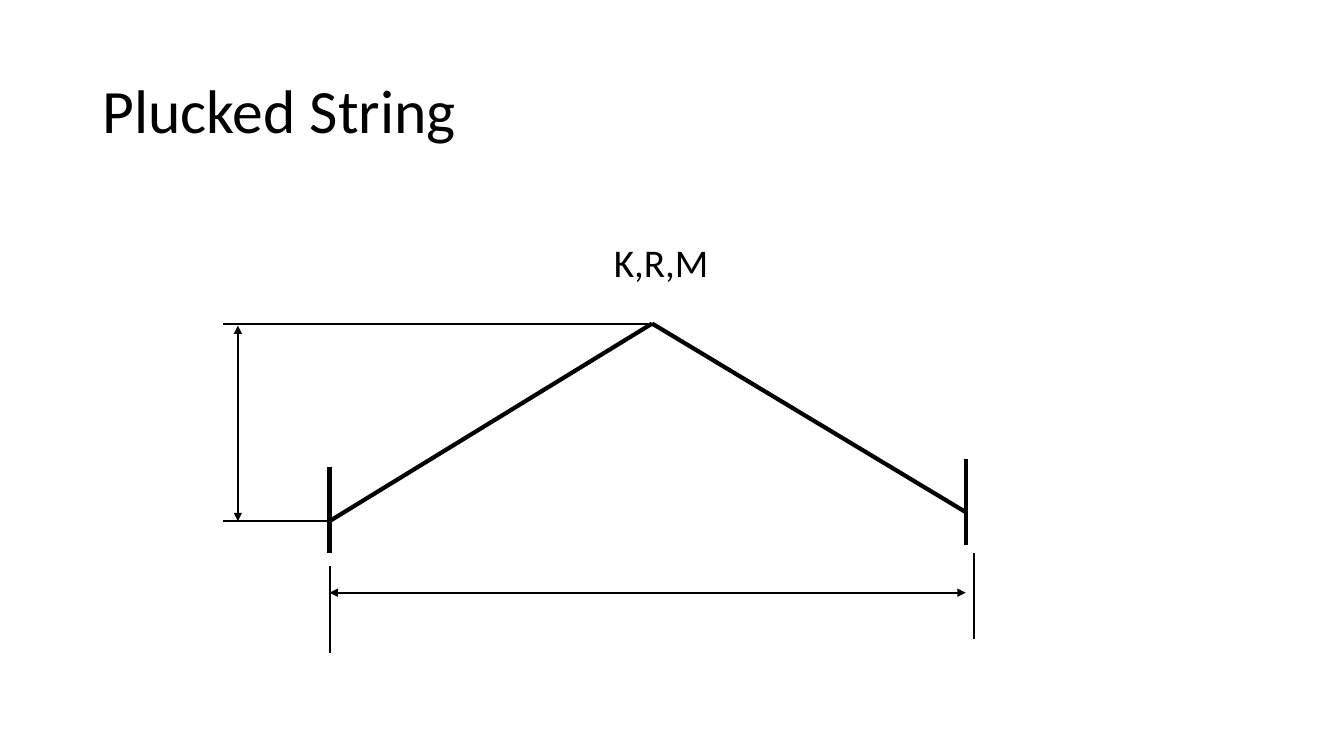
from lxml import etree
from pptx import Presentation
from pptx.dml.color import RGBColor
from pptx.enum.shapes import MSO_CONNECTOR
from pptx.enum.text import MSO_ANCHOR, MSO_AUTO_SIZE
from pptx.oxml.ns import qn
from pptx.util import Pt

BLACK = RGBColor(0x00, 0x00, 0x00)
STRAIGHT = MSO_CONNECTOR.STRAIGHT
TOP, MIDDLE = MSO_ANCHOR.TOP, MSO_ANCHOR.MIDDLE
NONE, GROW = MSO_AUTO_SIZE.NONE, MSO_AUTO_SIZE.SHAPE_TO_FIT_TEXT

deck = Presentation()
deck.slide_width, deck.slide_height = Pt(960), Pt(540)
slide = deck.slides.add_slide(deck.slide_layouts[6])


def add_text(text, box, size, frame_format, spacing):
    frame = slide.shapes.add_textbox(*map(Pt, box)).text_frame
    for name, value in frame_format.items():
        setattr(frame, name, value)
    line = frame.paragraphs[0]
    line.text = text
    line.line_spacing = spacing
    font = {"name": "Calibri", "size": Pt(size), "bold": False}
    for name, value in font.items():
        setattr(line.font, name, value)
    line.font.color.rgb = BLACK


def add_line(ends, width, arrows=False):
    line = slide.shapes.add_connector(STRAIGHT, *map(Pt, ends))
    line.line.color.rgb = BLACK
    line.line.width = Pt(width)
    props = line._element.spPr
    if arrows:
        for tag in ("a:headEnd", "a:tailEnd"):
            etree.SubElement(props.find(qn("a:ln")), qn(tag), type="triangle")
    etree.SubElement(props, qn("a:effectLst"))


add_text("Plucked String", (66.24, 28.8, 828, 104.4), 44,
         {"word_wrap": True, "vertical_anchor": MIDDLE, "auto_size": NONE}, 0.9)

left, right, peak = 235.44, 689.76, 465.84
crest, base, end = 231.12, 372.24, 365.76
edge, rise, span, guide = 159.12, 169.92, 423.36, 695.52
tall = 61.5

string = [
    (left, 333.36, left, 333.36 + tall),
    (peak, crest, left, base),
    (right, 327.6, right, 327.6 + tall),
    (right, end, peak, crest),
]
arrows = [
    (left, span, right, span),
    (rise, base, rise, 232.56),
]
guides = [
    (left, 404.64, left, 404.64 + tall),
    (guide, 395.28, guide, 395.28 + tall),
    (462.96, crest, edge, crest),
    (edge, base, 234, base),
]
for group, width, heads in ((string, 3, False), (arrows, 1.5, True),
                            (guides, 1.5, False)):
    for ends in group:
        add_line(ends, width, heads)

margins = dict.fromkeys(
    ("margin_left", "margin_top", "margin_right", "margin_bottom"), Pt(0))
add_text("K,R,M", (438.48, 169.92, 128.16, 55.44), 28,
         {"word_wrap": True, "vertical_anchor": TOP, "auto_size": GROW,
          **margins}, 1.0)

deck.save("out.pptx")
